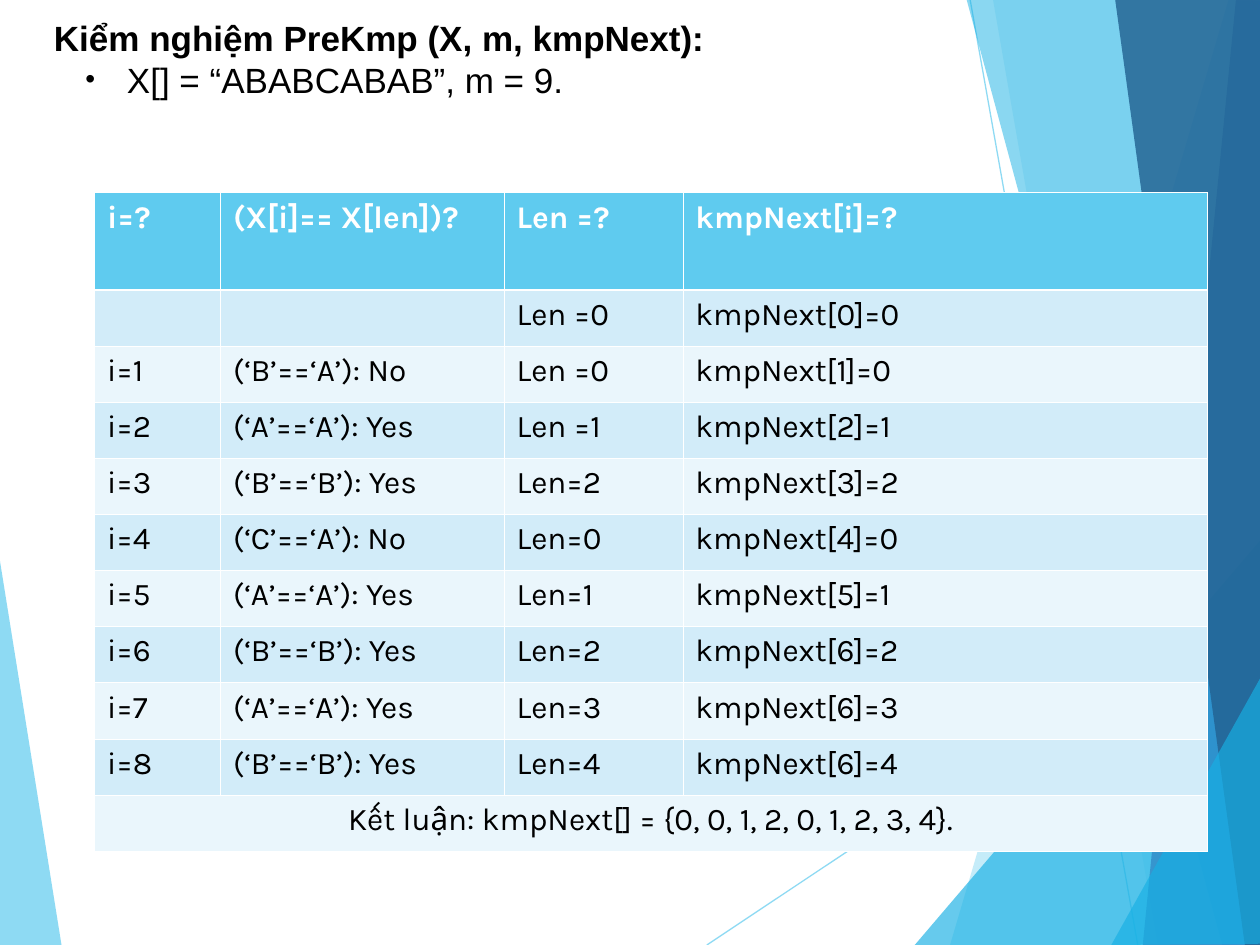
from lxml import etree
from pptx import Presentation
from pptx.dml.color import RGBColor
from pptx.enum.shapes import MSO_CONNECTOR
from pptx.enum.text import MSO_AUTO_SIZE, PP_ALIGN
from pptx.oxml.ns import qn
from pptx.util import Inches, Pt

STRAIGHT = MSO_CONNECTOR.STRAIGHT
CENTER = PP_ALIGN.CENTER
GROW_TO_TEXT = MSO_AUTO_SIZE.SHAPE_TO_FIT_TEXT

BLACK = RGBColor(0x00, 0x00, 0x00)
WHITE = RGBColor(0xFF, 0xFF, 0xFF)
SKY = RGBColor(0x5F, 0xCB, 0xEF)
CYAN = RGBColor(0x17, 0xB0, 0xE4)
BLUE = RGBColor(0x2E, 0x83, 0xC3)
NAVY = RGBColor(0x23, 0x62, 0x92)
BAND_DARK = RGBColor(0xD2, 0xEC, 0xF9)
BAND_LIGHT = RGBColor(0xEA, 0xF6, 0xFC)

SLIDE_W, SLIDE_H = 10, 7.5
LEFT_FACET = ([(-0.01, 4.39), (0.49, 7.51), (-0.01, 7.5)], SKY, 70)
RAYS = [((5.61, 7.5), (10.01, 4.57)), ((7.7, 0), (9.03, 7.5))]
# Corner points, colour, opacity in percent
RIGHT_FACETS = [
    ([(9.75, 0), (7.54, 7.5), (10.02, 7.51), (10.01, 0.01)], SKY, 36),
    ([(7.88, -0.01), (9.19, 7.5), (10.01, 7.5), (10.01, -0.01)], SKY, 20),
    ([(7.26, 7.5), (10, 4.29), (10.01, 7.5)], CYAN, 66),
    ([(7.67, -0.01), (9.7, 7.5), (10.01, 7.49), (10.01, -0.01)], CYAN, 50),
    ([(9.81, -0.01), (9.07, 7.5), (10.01, 7.5), (10, -0.01)], BLUE, 70),
    ([(8.85, -0.01), (9.88, 7.5), (10.02, 7.5), (10, -0.01)], NAVY, 82),
    ([(8.82, 7.5), (10.02, 5.35), (10.02, 7.49)], CYAN, 66),
]

HEADING = "Kiểm nghiệm PreKmp (X, m, kmpNext):"
PATTERN = "X[] = “ABABCABAB”, m = 9."
HEADERS = ("i=?", "(X[i]== X[len])?", "Len =?", "kmpNext[i]=?")
STEPS = [
    ("", "", "Len =0", "kmpNext[0]=0"),
    ("i=1", "(‘B’==‘A’): No", "Len =0", "kmpNext[1]=0"),
    ("i=2", "(‘A’==‘A’): Yes", "Len =1", "kmpNext[2]=1"),
    ("i=3", "(‘B’==‘B’): Yes", "Len=2", "kmpNext[3]=2"),
    ("i=4", "(‘C’==‘A’): No", "Len=0", "kmpNext[4]=0"),
    ("i=5", "(‘A’==‘A’): Yes", "Len=1", "kmpNext[5]=1"),
    ("i=6", "(‘B’==‘B’): Yes", "Len=2", "kmpNext[6]=2"),
    ("i=7", "(‘A’==‘A’): Yes", "Len=3", "kmpNext[6]=3"),
    ("i=8", "(‘B’==‘B’): Yes", "Len=4", "kmpNext[6]=4"),
]
CONCLUSION = "Kết luận: kmpNext[] = {0, 0, 1, 2, 0, 1, 2, 3, 4}."
COLUMN_WIDTHS = (1, 2.25, 1.42, 4.16)
HEADER_HEIGHT = 0.77
HEADER_RULE, THIN_RULE = 1.47, 0.45


def set_opacity(fill_parent, percent):
    color = fill_parent.find(".//" + qn("a:srgbClr"))
    etree.SubElement(color, qn("a:alpha"), val=str(percent * 1000))


def add_facet(shapes, corners, color, opacity):
    points = [(Inches(x), Inches(y)) for x, y in corners]
    builder = shapes.build_freeform(*points[0])
    builder.add_line_segments(points[1:], close=True)
    facet = builder.convert_to_shape()
    facet.shadow.inherit = False
    facet.fill.solid()
    facet.fill.fore_color.rgb = color
    set_opacity(facet.fill._xPr, opacity)
    facet.line.fill.background()


def add_ray(shapes, start, end):
    ray = shapes.add_connector(STRAIGHT, *map(Inches, start + end))
    ray.line.color.rgb = SKY
    ray.line.width = Pt(0.75)
    properties = ray._element.spPr
    set_opacity(properties, 70)
    etree.SubElement(properties, qn("a:effectLst"))


def add_backdrop(slide):
    shapes = slide.shapes.add_group_shape().shapes
    add_facet(shapes, *LEFT_FACET)
    for start, end in RAYS:
        add_ray(shapes, start, end)
    for facet in RIGHT_FACETS:
        add_facet(shapes, *facet)


def style_font(font, name, size, color, bold):
    font.name = name
    font.size = Pt(size)
    font.color.rgb = color
    font.bold = bold


def add_bullet(paragraph):
    properties = paragraph._p.get_or_add_pPr()
    properties.set("marL", str(Inches(0.58)))
    properties.set("indent", str(-Inches(0.33)))
    color = etree.Element(qn("a:buClr"))
    etree.SubElement(color, qn("a:srgbClr"), val=str(BLACK))
    size = etree.Element(qn("a:buSzPct"), val="80000")
    font = etree.Element(qn("a:buFont"), typeface="Arial")
    mark = etree.Element(qn("a:buChar"), char="•")
    for position, element in enumerate((color, size, font, mark)):
        properties.insert(position, element)


def add_heading(slide, left, top, width, height):
    box = slide.shapes.add_textbox(*map(Inches, (left, top, width, height)))
    frame = box.text_frame
    frame.word_wrap = True
    frame.auto_size = GROW_TO_TEXT
    heading = frame.paragraphs[0]
    heading.text = HEADING
    style_font(heading.font, "Arial", 20, BLACK, True)
    pattern = frame.add_paragraph()
    pattern.text = PATTERN
    pattern.level = 1
    style_font(pattern.font, "Arial", 20, BLACK, False)
    add_bullet(pattern)


def set_borders(cell, top, bottom):
    properties = cell._tc.get_or_add_tcPr()
    widths = {"a:lnL": THIN_RULE, "a:lnR": THIN_RULE, "a:lnT": top, "a:lnB": bottom}
    for position, (side, width) in enumerate(widths.items()):
        border = etree.Element(qn(side), w=str(Pt(width)))
        fill = etree.SubElement(border, qn("a:solidFill"))
        etree.SubElement(fill, qn("a:srgbClr"), val=str(WHITE))
        properties.insert(position, border)


def format_cell(cell, row):
    is_header = row == 0
    cell.fill.solid()
    cell.fill.fore_color.rgb = SKY if is_header else BAND_DARK if row % 2 else BAND_LIGHT
    set_borders(cell,
                top=HEADER_RULE if row == 1 else THIN_RULE,
                bottom=HEADER_RULE if is_header else THIN_RULE)
    style_font(cell.text_frame.paragraphs[0].font, "Karla", 18,
               WHITE if is_header else BLACK, is_header)


def add_trace_table(slide, left, top, width, height):
    rows = [HEADERS, *STEPS, (CONCLUSION, "", "", "")]
    table = slide.shapes.add_table(
        len(rows), len(HEADERS), *map(Inches, (left, top, width, height))).table
    for column, column_width in zip(table.columns, COLUMN_WIDTHS):
        column.width = Inches(column_width)
    body_height = (height - HEADER_HEIGHT) / (len(rows) - 1)
    for r, texts in enumerate(rows):
        table.rows[r].height = Inches(body_height if r else HEADER_HEIGHT)
        for c, text in enumerate(texts):
            cell = table.cell(r, c)
            cell.text = text
            format_cell(cell, r)
    last = len(rows) - 1
    conclusion = table.cell(last, 0)
    conclusion.merge(table.cell(last, len(HEADERS) - 1))
    conclusion.text_frame.paragraphs[0].alignment = CENTER


def main():
    presentation = Presentation()
    presentation.slide_width = Inches(SLIDE_W)
    presentation.slide_height = Inches(SLIDE_H)
    slide = presentation.slides.add_slide(presentation.slide_layouts[6])
    add_backdrop(slide)
    add_heading(slide, 0.33, 0.08, 9.5, 0.77)
    add_trace_table(slide, 0.75, 1.53, sum(COLUMN_WIDTHS), 5.23)
    presentation.save("out.pptx")


if __name__ == "__main__":
    main()
